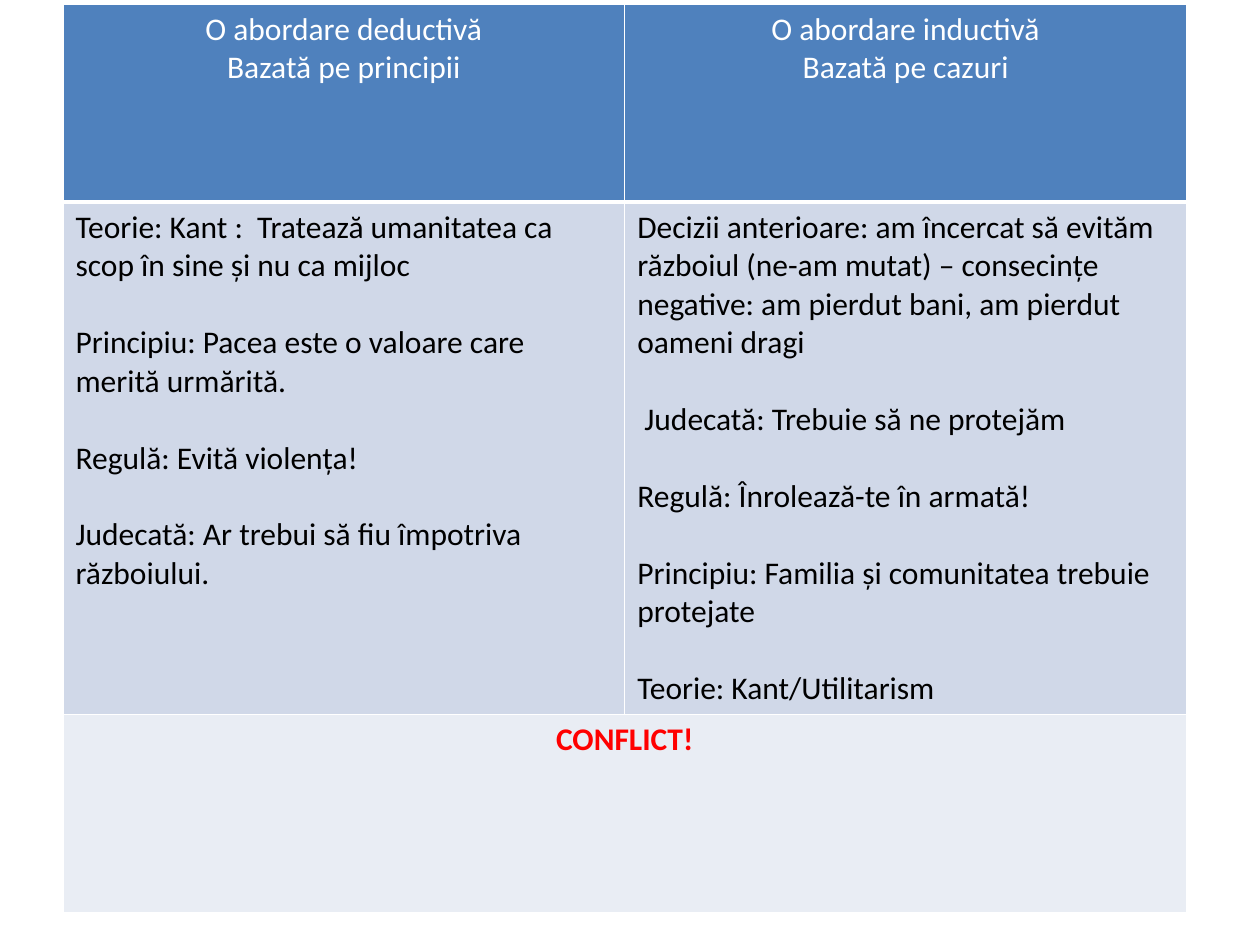
from lxml import etree
from pptx import Presentation
from pptx.dml.color import RGBColor
from pptx.enum.text import PP_ALIGN
from pptx.oxml.ns import qn
from pptx.util import Pt

COLORS = {
    "white": "FFFFFF",
    "black": "000000",
    "conflict": "FF0000",
    "header": "4F81BD",
    "body": "D0D8E8",
    "footer": "E9EDF4",
}

APPROACHES = [
    ["O abordare deductivă", "Bazată pe principii"],
    ["O abordare inductivă", "Bazată pe cazuri"],
]
REASONING = [
    [
        "Teorie: Kant :  Tratează umanitatea ca scop în sine și nu ca mijloc",
        "Principiu: Pacea este o valoare care merită urmărită.",
        "Regulă: Evită violența!",
        "Judecată: Ar trebui să fiu împotriva războiului.",
    ],
    [
        "Decizii anterioare: am încercat să evităm războiul (ne-am mutat) – "
        "consecințe negative: am pierdut bani, am pierdut oameni dragi",
        " Judecată: Trebuie să ne protejăm",
        "Regulă: Înrolează-te în armată!",
        "Principiu: Familia și comunitatea trebuie protejate",
        "Teorie: Kant/Utilitarism",
    ],
]
CONFLICT = ["CONFLICT!"]

LEFT, TOP, COLUMN_WIDTH = 36, 2.4, 321
ROW_HEIGHTS = [113, 293, 113]
LINE_HEIGHT = 22


def write(cell, lines, color="black", align=PP_ALIGN.LEFT, bold=False, gap=0):
    frame = cell.text_frame
    for index, line in enumerate(lines):
        paragraph = frame.add_paragraph() if index else frame.paragraphs[0]
        paragraph.text = line
        paragraph.alignment = align
        if index and gap:
            paragraph.space_before = Pt(gap)
        font = paragraph.font
        font.name, font.size, font.bold = "Calibri", Pt(18), bold
        font.color.rgb = RGBColor.from_string(COLORS[color])


def paint(cell, fill, bottom=1, top=1):
    """Fill a cell and give it white borders."""
    cell.fill.solid()
    cell.fill.fore_color.rgb = RGBColor.from_string(COLORS[fill])
    properties = cell._tc.get_or_add_tcPr()
    widths = {"a:lnL": 1, "a:lnR": 1, "a:lnT": top, "a:lnB": bottom}
    for position, (side, width) in enumerate(widths.items()):
        border = etree.Element(qn(side), w=str(Pt(width)))
        solid = etree.SubElement(border, qn("a:solidFill"))
        etree.SubElement(solid, qn("a:srgbClr"), val=COLORS["white"])
        properties.insert(position, border)


def main():
    deck = Presentation()
    deck.slide_width, deck.slide_height = Pt(720), Pt(540)
    slide = deck.slides.add_slide(deck.slide_layouts[6])
    table = slide.shapes.add_table(
        len(ROW_HEIGHTS), len(APPROACHES), Pt(LEFT), Pt(TOP),
        Pt(COLUMN_WIDTH * len(APPROACHES)), Pt(sum(ROW_HEIGHTS)),
    ).table
    for row, height in zip(table.rows, ROW_HEIGHTS):
        row.height = Pt(height)

    for column, (approach, steps) in enumerate(zip(APPROACHES, REASONING)):
        table.columns[column].width = Pt(COLUMN_WIDTH)
        header, body, footer = (table.cell(row, column) for row in range(3))
        write(header, approach, color="white", align=PP_ALIGN.CENTER)
        write(body, steps, gap=LINE_HEIGHT)
        paint(header, "header", bottom=3)
        paint(body, "body", top=3)
        paint(footer, "footer")

    conflict = table.cell(2, 0)
    conflict.merge(table.cell(2, 1))
    write(conflict, CONFLICT, color="conflict", align=PP_ALIGN.CENTER, bold=True)
    deck.save("out.pptx")


if __name__ == "__main__":
    main()
